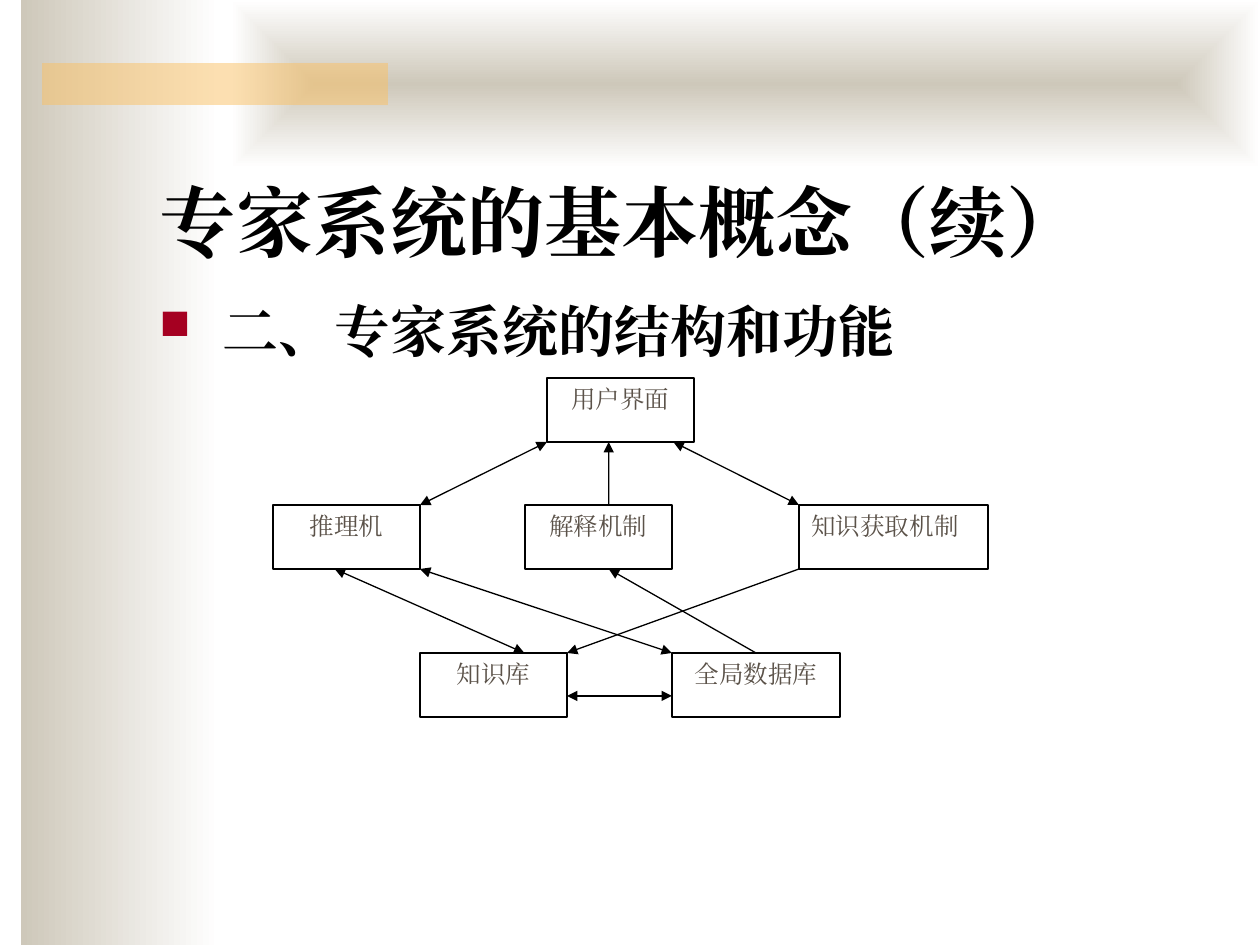
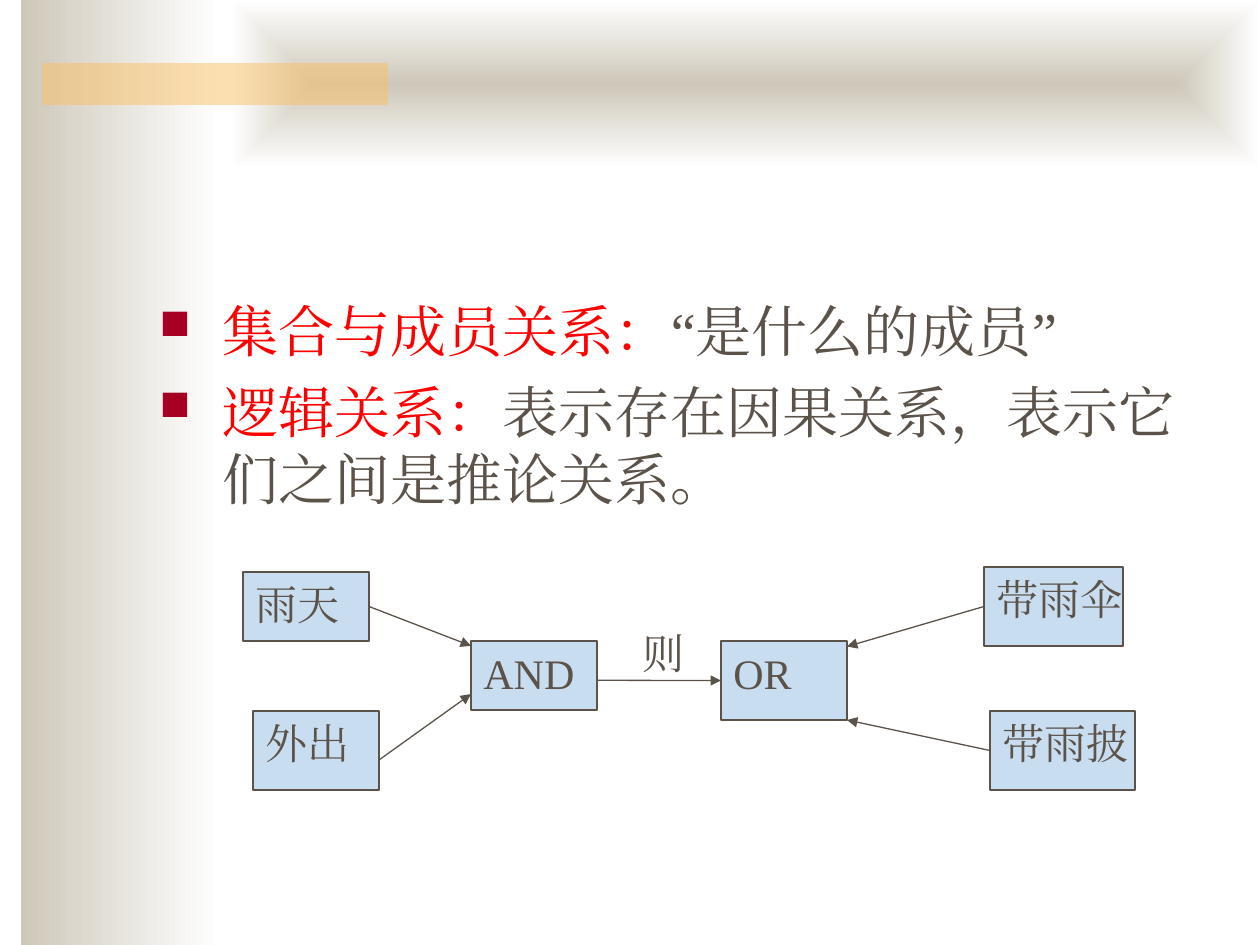
from dataclasses import dataclass

from lxml.etree import SubElement
from pptx import Presentation
from pptx.dml.color import RGBColor as RGB
from pptx.enum.shapes import MSO_CONNECTOR, MSO_SHAPE
from pptx.enum.text import MSO_ANCHOR as ANCHOR, PP_ALIGN as ALIGN
from pptx.oxml.ns import qn
from pptx.util import Pt

PX_EMU = 914400 / 126
SLIDE_W, SLIDE_H = 1260, 945


@dataclass(frozen=True)
class Theme:
    font: str = "Times New Roman"
    text: str = "5B5249"
    black: str = "000000"
    white: str = "FFFFFF"
    red: str = "FF0000"
    bullet: str = "A50021"
    band: str = "CEC8BA"
    accent: str = "FAC164"
    node: str = "C9DDF1"
    title_size: int = 44
    body_size: int = 32
    node_size: int = 24
    small_size: int = 14
    line_width: float = 0.75


T = Theme()
TITLE_BOX = (147, 116, 1071, 157)
BODY_BOX = (147, 290, 1071, 567)


def px(*values):
    return [round(v * PX_EMU) for v in values]


def add_xml(parent, tag, **attrs):
    return SubElement(parent, qn(tag), {k: str(v) for k, v in attrs.items()})


def write(p, text, size=T.body_size, color=T.text, bold=False):
    """Append one formatted run to a paragraph."""
    r = p.add_run()
    r.text = text
    f = r.font
    f.name, f.size, f.bold = T.font, Pt(size), bold
    f.color.rgb = RGB.from_string(color)
    rpr = r._r.get_or_add_rPr()
    rpr.set("lang", "zh-CN")
    add_xml(rpr, "a:ea", typeface=T.font)


def text_frame(sp, wrap=True, anchor=ANCHOR.TOP):
    tf = sp.text_frame
    tf.word_wrap, tf.vertical_anchor = wrap, anchor
    return tf


def rect(s, box, fill=None, line=None):
    sp = s.shapes.add_shape(MSO_SHAPE.RECTANGLE, *px(*box))
    sp.shadow.inherit = False
    if fill:
        sp.fill.solid()
        sp.fill.fore_color.rgb = RGB.from_string(fill)
    if line:
        sp.line.color.rgb = RGB.from_string(line)
        sp.line.width = Pt(T.line_width)
    else:
        sp.line.fill.background()
    return sp


def fade(s, box, from_center=False):
    """Rectangle fading from the band colour to white."""
    sp = rect(s, box)
    sp.fill.gradient()
    for stop, color in zip(sp.fill.gradient_stops, (T.band, T.white)):
        stop.color.rgb = RGB.from_string(color)
    sp.fill.gradient_angle = 0
    if from_center:
        grad = sp._element.spPr.find(qn("a:gradFill"))
        grad.remove(grad.find(qn("a:lin")))
        center = add_xml(grad, "a:path", path="rect")
        add_xml(center, "a:fillToRect", **dict.fromkeys("ltrb", 50000))


def backdrop(s):
    fade(s, (21, 0, 199, SLIDE_H))
    fade(s, (231, 0, 1029, 168), from_center=True)
    strip = rect(s, (42, 63, 346, 42), T.accent)
    color = strip._element.spPr.find(f"{qn('a:solidFill')}/{qn('a:srgbClr')}")
    add_xml(color, "a:alpha", val=50000)


def title(s, box, text):
    tf = text_frame(s.shapes.add_textbox(*px(*box)), anchor=ANCHOR.BOTTOM)
    write(tf.paragraphs[0], text, size=T.title_size, color=T.black, bold=True)


def bullets(s, box, items):
    """Each item is a list of (text, format) runs."""
    tf = text_frame(s.shapes.add_textbox(*px(*box)))
    for i, runs in enumerate(items):
        p = tf.add_paragraph() if i else tf.paragraphs[0]
        p.space_before = Pt(8)
        ppr = p._p.get_or_add_pPr()
        indent, = px(63)
        ppr.set("marL", str(indent))
        ppr.set("indent", str(-indent))
        add_xml(add_xml(ppr, "a:buClr"), "a:srgbClr", val=T.bullet)
        add_xml(ppr, "a:buSzPct", val=75000)
        add_xml(ppr, "a:buChar", char="■")
        for text, fmt in runs:
            write(p, text, **fmt)


def arrow(s, start, end, color, both):
    c = s.shapes.add_connector(MSO_CONNECTOR.STRAIGHT, *px(*start, *end))
    c.line.color.rgb = RGB.from_string(color)
    c.line.width = Pt(T.line_width)
    ln = c.line._get_or_add_ln()
    if both:
        add_xml(ln, "a:headEnd", type="triangle")
    add_xml(ln, "a:tailEnd", type="triangle")
    add_xml(c._element.spPr, "a:effectLst")


def diagram(s, origin, nodes, links, fill, line, size, wrap, align):
    """Nodes map a name to a box; links join points given as shares of a box."""
    ox, oy = origin
    aligns = align if isinstance(align, dict) else dict.fromkeys(nodes, align)
    for name, (x, y, w, h) in nodes.items():
        tf = text_frame(rect(s, (ox + x, oy + y, w, h), fill, line), wrap)
        p = tf.paragraphs[0]
        p.alignment = aligns[name]
        write(p, name, size=size)

    def point(name, fx, fy):
        x, y, w, h = nodes[name]
        return ox + x + fx * w, oy + y + fy * h

    for start, end, both in links:
        arrow(s, point(*start), point(*end), line, both)


def structure_diagram(s, origin):
    w, h = 147, 64
    top, middle, bottom = 0, 127, 275
    ui, engine, explain = "用户界面", "推理机", "解释机制"
    acquire, base, data = "知识获取机制", "知识库", "全局数据库"
    nodes = {
        explain: (252, middle, w, h),
        ui: (274, top, w, h),
        acquire: (526, middle, 189, h),
        base: (147, bottom, w, h),
        data: (399, bottom, 168, h),
        engine: (0, middle, w, h),
    }
    links = [
        ((ui, 0, 1), (engine, 1, 0), True),
        ((ui, 0.86, 1), (acquire, 0, 0), True),
        ((engine, 0.42, 1), (base, 0.71, 0), True),
        ((engine, 1, 1), (data, 0, 0), True),
        ((data, 0.5, 0), (explain, 0.57, 1), False),
        ((acquire, 0, 1), (base, 1, 0), False),
        ((base, 1, 0.67), (data, 0, 0.67), True),
        ((explain, 0.57, 0), (ui, 0.42, 1), False),
    ]
    align = dict.fromkeys(nodes, ALIGN.CENTER) | {acquire: ALIGN.JUSTIFY}
    diagram(s, origin, nodes, links, fill=T.white, line=T.black,
            size=T.small_size, wrap=True, align=align)


def logic_diagram(s, origin):
    w, low, high = 126, 69, 79
    rain, out, umbrella, cape = "雨天", "外出", "带雨伞", "带雨披"
    nodes = {
        rain: (0, 5, w, low),
        out: (10, 144, w, high),
        "AND": (228, 74, w, low),
        "OR": (478, 74, w, high),
        umbrella: (741, 0, 139, high),
        cape: (747, 144, 145, high),
    }
    links = [
        ((rain, 1, 0.5), ("AND", 0, 0.07), False),
        ((out, 1, 0.62), ("AND", 0, 0.77), False),
        (("AND", 1, 0.57), ("OR", 0, 0.5), False),
        ((umbrella, 0, 0.5), ("OR", 1, 0.07), False),
        ((cape, 0, 0.5), ("OR", 1, 1), False),
    ]
    diagram(s, origin, nodes, links, fill=T.node, line=T.text,
            size=T.node_size, wrap=False, align=ALIGN.LEFT)
    label = s.shapes.add_textbox(*px(origin[0] + 387, origin[1] + 54, 67, 63))
    write(text_frame(label, wrap=False).paragraphs[0], "则", size=T.node_size)


def new_slide(prs):
    s = prs.slides.add_slide(prs.slide_layouts[6])
    backdrop(s)
    return s


def structure_slide(prs):
    s = new_slide(prs)
    title(s, TITLE_BOX, "专家系统的基本概念（续）")
    heading = dict(color=T.black, bold=True)
    bullets(s, BODY_BOX, [[("二、专家系统的结构和功能", heading)]])
    structure_diagram(s, (273, 378))


def relations_slide(prs):
    s = new_slide(prs)
    term = dict(color=T.red)
    bullets(s, BODY_BOX, [
        [("集合与成员关系：", term), ("“是什么的成员”", {})],
        [("逻辑关系：", term),
         ("表示存在因果关系，表示它们之间是推论关系。", {})],
    ])
    logic_diagram(s, (243, 567))


def main():
    prs = Presentation()
    prs.slide_width, prs.slide_height = px(SLIDE_W, SLIDE_H)
    structure_slide(prs)
    relations_slide(prs)
    prs.save("out.pptx")


if __name__ == "__main__":
    main()
